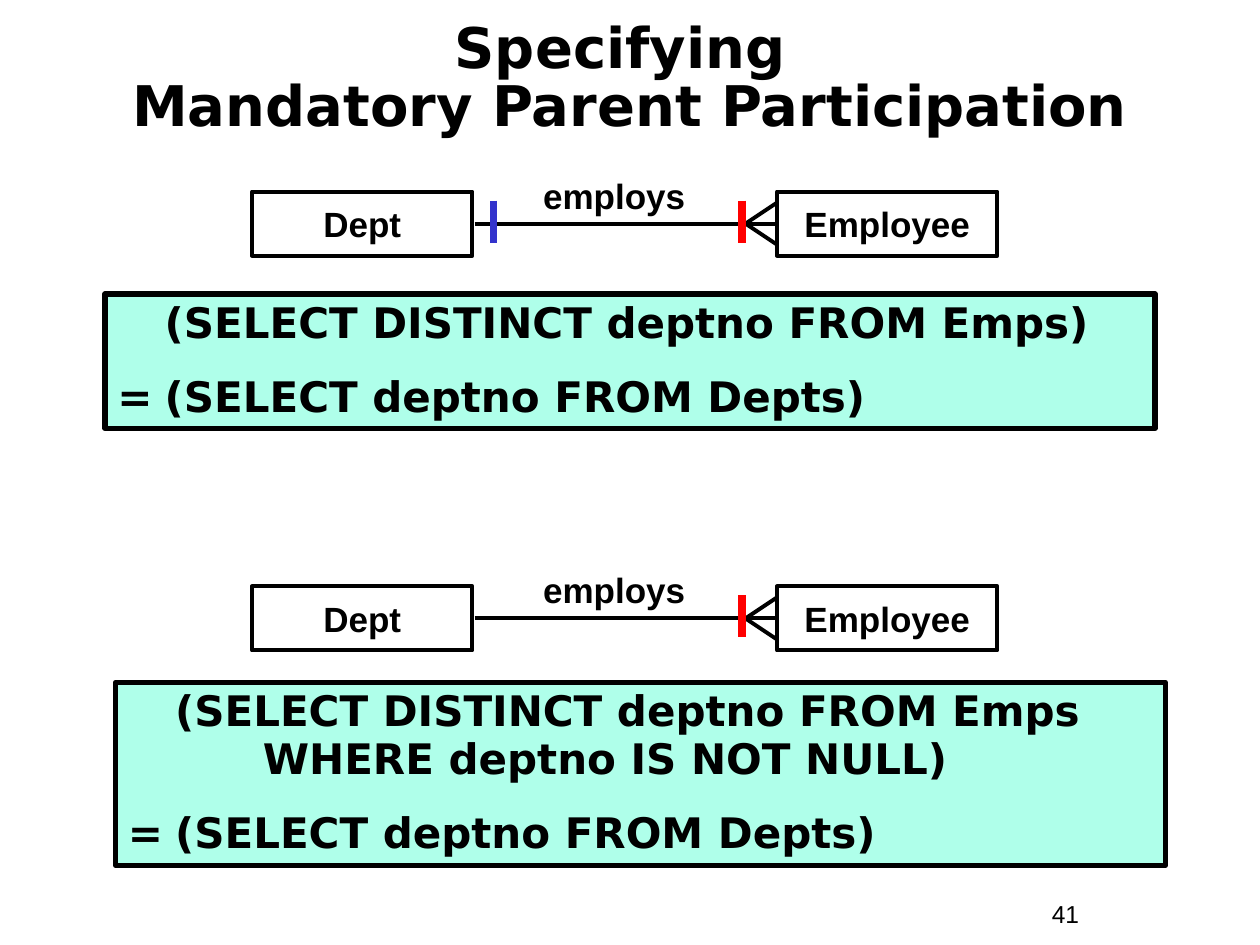
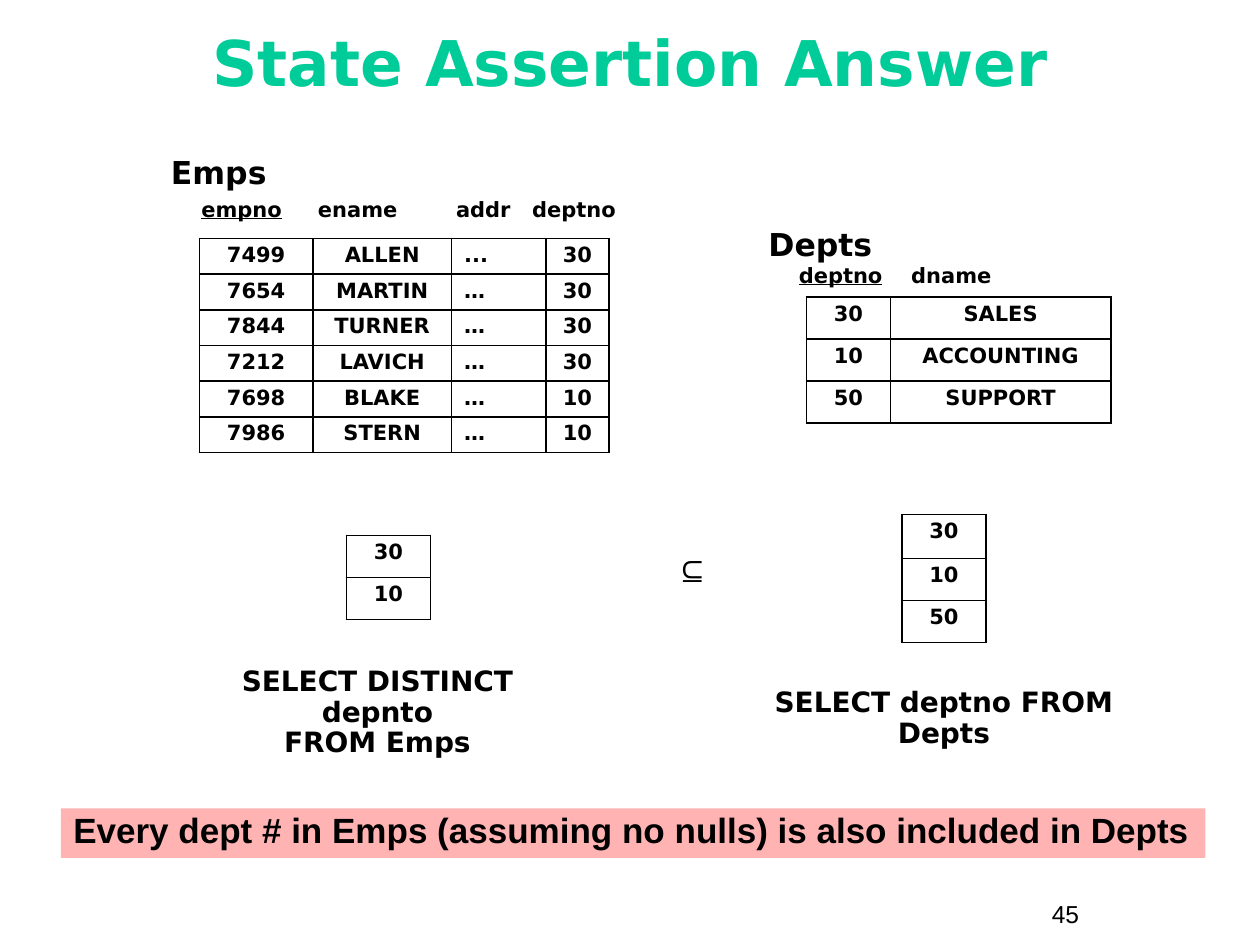
from lxml import etree
from pptx import Presentation
from pptx.dml.color import RGBColor
from pptx.enum.shapes import MSO_CONNECTOR, MSO_SHAPE
from pptx.enum.text import MSO_ANCHOR, MSO_AUTO_SIZE, PP_ALIGN
from pptx.oxml.ns import qn
from pptx.util import Inches, Pt

LEFT, CENTER = PP_ALIGN.LEFT, PP_ALIGN.CENTER
TOP, MIDDLE = MSO_ANCHOR.TOP, MSO_ANCHOR.MIDDLE
RECTANGLE, STRAIGHT = MSO_SHAPE.RECTANGLE, MSO_CONNECTOR.STRAIGHT
NO_AUTOFIT = MSO_AUTO_SIZE.NONE

COLORS = {
    "ink": "000000",
    "title_green": "00CC99",
    "code_fill": "AFFFEA",
    "banner": "FFB3B3",
    "child_bar": "FF0000",
    "parent_bar": "3333CC",
}
SANS, WIDE = "Arial", "DejaVu Sans"
COLUMNS, ROWS = 120, 90
UNIT = Inches(10) / COLUMNS
CODE_INDENT = 4.5


def units(length):
    """Turn grid columns or rows, which are equally long, into EMU."""
    return round(length * UNIT)


def color(name):
    return RGBColor.from_string(COLORS[name])


class SlideBuilder:
    """Holds the deck's style and the slide being filled."""

    def __init__(self):
        self.deck = Presentation()
        self.deck.slide_width = units(COLUMNS)
        self.deck.slide_height = units(ROWS)
        self.page = None

    def start(self, title, number, top, height, size, ink="ink", spacing=1.0):
        self.page = self.deck.slides.add_slide(self.deck.slide_layouts[5])
        box = self.page.shapes.title
        box.left, box.top, box.width, box.height = map(units, (4, top, 112, height))
        self.fill_frame(box.text_frame, title, size, WIDE, CENTER, spacing, MIDDLE, ink)
        self.text((99, 85, 11, 4), number, 14, SANS, bold=False)

    def fill_frame(self, frame, text, size, font=WIDE, align=LEFT, spacing=1.0,
                   anchor=TOP, ink="ink", bold=True):
        frame.word_wrap = True
        frame.auto_size = NO_AUTOFIT
        frame.vertical_anchor = anchor
        frame.text = text
        for para in frame.paragraphs:
            para.alignment = align
            para.line_spacing = spacing
            for span in para.runs:
                self.format_span(span, size, font, ink, bold)

    def format_span(self, span, size, font=WIDE, ink="ink", bold=True):
        span.font.name = font
        span.font.size = Pt(size)
        span.font.bold = bold
        span.font.color.rgb = color(ink)

    def text(self, place, text, size, font=WIDE, **style):
        box = self.page.shapes.add_textbox(*map(units, place))
        self.fill_frame(box.text_frame, text, size, font, **style)

    def rectangle(self, place, text, size, font, fill=None, line=None, **style):
        box = self.page.shapes.add_shape(RECTANGLE, *map(units, place))
        box.shadow.inherit = False
        if fill:
            box.fill.solid()
            box.fill.fore_color.rgb = color(fill)
        else:
            box.fill.background()
        if line:
            box.line.color.rgb = color("ink")
            box.line.width = Pt(line)
        else:
            box.line.fill.background()
        self.fill_frame(box.text_frame, text, size, font, **style)
        return box

    def line(self, start, end, ink="ink", weight=2.25):
        connector = self.page.shapes.add_connector(STRAIGHT, *map(units, start + end))
        connector.line.color.rgb = color(ink)
        connector.line.width = Pt(weight)
        etree.SubElement(connector._element.spPr, qn("a:effectLst"))

    def code(self, place, text):
        """Draw a query box whose operator hangs left of the query."""
        box = self.rectangle(place, text, 24, WIDE, "code_fill", 3, spacing=0.95)
        for index, para in enumerate(box.text_frame.paragraphs):
            properties = para._p.get_or_add_pPr()
            properties.set("marL", str(units(CODE_INDENT)))
            properties.set("indent", str(-units(CODE_INDENT)))
            if index:
                para.space_before = Pt(15)

    def relationship(self, axis, parent_mandatory):
        """Draw Dept employs Employee, with its line on the given row."""
        for left, name in ((24, "Dept"), (74, "Employee")):
            box = self.rectangle((left, axis - 3.05, 21, 6.1), name, 20, SANS,
                                 line=2.25, align=CENTER, anchor=MIDDLE)
            box.text_frame.word_wrap = False
        self.line((45.2, axis), (73.8, axis))
        for spread in (-2, 2):
            self.line((71, axis), (74, axis + spread))
        self.text((49, axis - 5.3, 19, 5.3), "employs", 20, SANS, align=CENTER)
        bars = [(70.7, "child_bar")]
        if parent_mandatory:
            bars.append((47, "parent_bar"))
        for left, ink in bars:
            self.line((left, axis - 2.2), (left, axis + 1.8), ink, 4.5)

    def headings(self, place, spans, stops):
        """Set column names on tab stops; each span is (text, underlined)."""
        box = self.page.shapes.add_textbox(*map(units, place))
        box.text_frame.word_wrap = True
        para = box.text_frame.paragraphs[0]
        tabs = etree.SubElement(para._p.get_or_add_pPr(), qn("a:tabLst"))
        for stop in stops:
            etree.SubElement(tabs, qn("a:tab"), pos=str(units(stop)), algn="l")
        for text, underlined in spans:
            span = para.add_run()
            span.text = text
            self.format_span(span, 12)
            span.font.underline = underlined

    def table(self, left, top, widths, heights, rows, left_columns=()):
        frame = self.page.shapes.add_table(
            len(rows), len(widths),
            *map(units, (left, top, sum(widths), sum(heights))))
        table = frame.table
        table.first_row = table.horz_banding = False
        for column, width in zip(table.columns, widths):
            column.width = units(width)
        for row, height, values in zip(table.rows, heights, rows):
            row.height = units(height)
            for index, (cell, value) in enumerate(zip(row.cells, values)):
                align = LEFT if index in left_columns else CENTER
                self.fill_frame(cell.text_frame, value, 12, align=align, spacing=0.9)
                cell.vertical_anchor = TOP
                cell.fill.background()
                self.border(cell)

    def border(self, cell):
        properties = cell._tc.get_or_add_tcPr()
        for index, side in enumerate(("lnL", "lnR", "lnT", "lnB")):
            edge = etree.Element(qn(f"a:{side}"), w=str(Pt(1.08)))
            fill = etree.SubElement(edge, qn("a:solidFill"))
            etree.SubElement(fill, qn("a:srgbClr"), val=COLORS["ink"])
            properties.insert(index, edge)


def build_participation(slide):
    slide.start("Specifying \vMandatory Parent Participation", "41",
                2.5, 10.3, 32, spacing=0.85)
    parent_query = "=\t(SELECT deptno FROM Depts)"
    slide.relationship(21.3, parent_mandatory=True)
    slide.code((10, 28, 100, 12.8),
               "\t(SELECT DISTINCT deptno FROM Emps)\n" + parent_query)
    slide.relationship(58.9, parent_mandatory=False)
    slide.code((11, 65, 100, 17.4),
               "\t(SELECT DISTINCT deptno FROM Emps\v"
               "      WHERE deptno IS NOT NULL)\n" + parent_query)


def build_state_assertion(slide):
    slide.start("State Assertion Answer", "45", 1.3, 9, 36, "title_green")

    slide.text((15.1, 14, 25.8, 4.8), "Emps", 18)
    slide.headings((18, 18.1, 45, 3.6),
                   [("empno", True), ("\tename\taddr\tdeptno", False)],
                   (11.1, 24.25, 31.5))
    employees = [
        ("7499", "ALLEN", "...", "30"),
        ("7654", "MARTIN", "…", "30"),
        ("7844", "TURNER", "…", "30"),
        ("7212", "LAVICH", "…", "30"),
        ("7698", "BLAKE", "…", "10"),
        ("7986", "STERN", "…", "10"),
    ]
    slide.table(19, 22.7, (10.8, 13.2, 9, 6), [3.4] * 6, employees, left_columns=(2,))

    slide.text((72, 20.8, 25.8, 4.8), "Depts", 18)
    slide.headings((74.9, 24.4, 30, 3.6),
                   [("deptno", True), ("\tdname", False), ("\t", True)],
                   (10.7, 19.75))
    departments = [("30", "SALES"), ("10", "ACCOUNTING"), ("50", "SUPPORT")]
    slide.table(76.8, 28.3, (8, 21), [4] * 3, departments)

    slide.table(33, 51, (8,), [4] * 2, [("30",), ("10",)])
    slide.text((63.1, 52, 5, 4.8), "⊆", 20, SANS, align=CENTER, spacing=0.9)
    slide.table(85.9, 49, (8,), (4.2, 4, 4), [(number,) for number, _ in departments])

    slide.text((18.5, 63, 34.9, 13), "SELECT DISTINCT depnto\vFROM Emps", 16,
               align=CENTER, spacing=0.9)
    slide.text((70.6, 65, 38.6, 7.3), "SELECT deptno FROM Depts", 16,
               align=CENTER, spacing=0.9)
    slide.rectangle((5.8, 77, 109, 4.7),
                    "Every dept # in Emps (assuming no nulls) is also included in Depts",
                    20, SANS, "banner", spacing=0.85)


def main():
    slide = SlideBuilder()
    build_participation(slide)
    build_state_assertion(slide)
    slide.deck.save("out.pptx")


if __name__ == "__main__":
    main()
